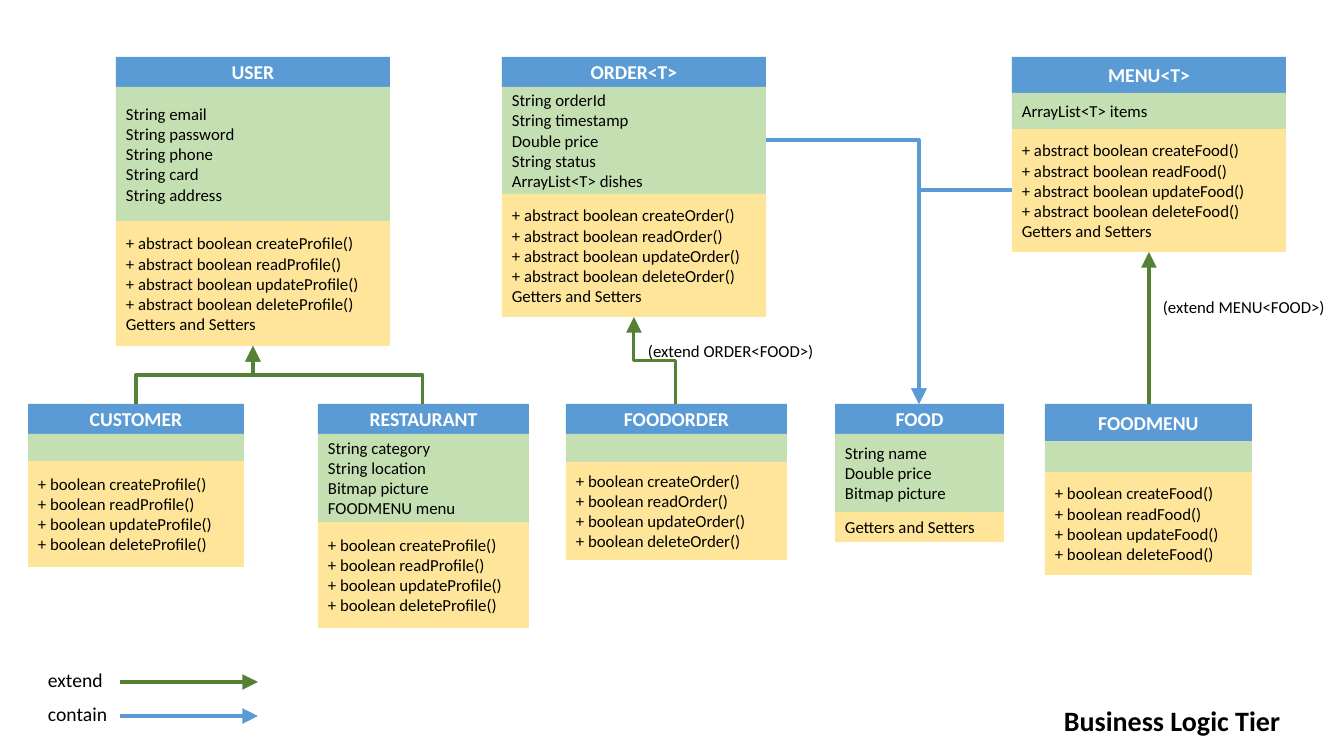
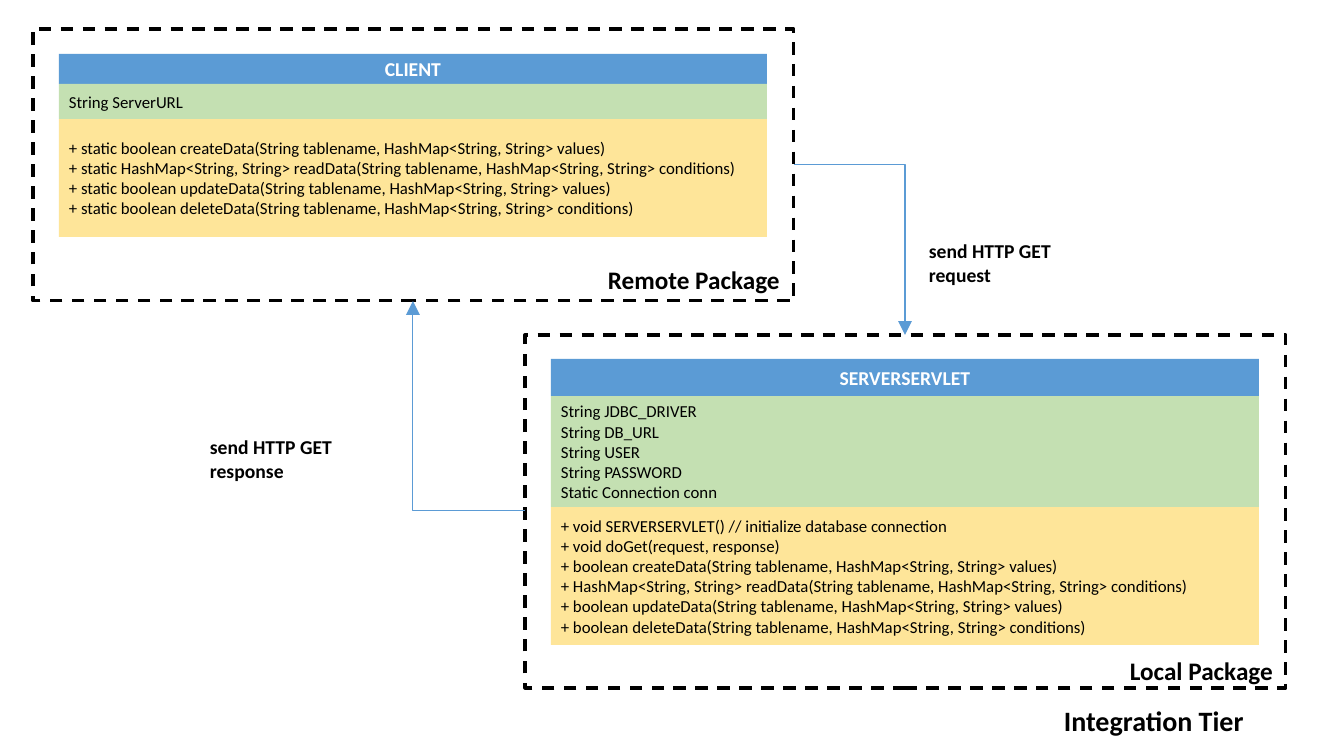
import dataclasses

import lxml.etree
import pptx
import pptx.dml.color
import pptx.enum.dml
import pptx.enum.shapes
import pptx.enum.text
import pptx.oxml.ns
import pptx.util

PIXEL = 914400 / 100.8
BLUE = pptx.dml.color.RGBColor(0x5B, 0x9B, 0xD5)
LIGHT_GREEN = pptx.dml.color.RGBColor(0xC4, 0xE0, 0xB2)
YELLOW = pptx.dml.color.RGBColor(0xFE, 0xE5, 0x99)
DARK_GREEN = pptx.dml.color.RGBColor(0x54, 0x81, 0x35)
BLACK = pptx.dml.color.RGBColor(0, 0, 0)
WHITE = pptx.dml.color.RGBColor(255, 255, 255)

RECTANGLE = pptx.enum.shapes.MSO_SHAPE.RECTANGLE
STRAIGHT = pptx.enum.shapes.MSO_CONNECTOR.STRAIGHT
ELBOW = pptx.enum.shapes.MSO_CONNECTOR.ELBOW
LEFT = pptx.enum.text.PP_ALIGN.LEFT
CENTER = pptx.enum.text.PP_ALIGN.CENTER


def font_format(size, bold=False):
    return {"name": "Calibri", "size": pptx.util.Pt(size), "bold": bold}


MEMBER = font_format(12)
LEGEND = font_format(14)
HEADING = font_format(14, True)
FRAME_LABEL = font_format(18, True)
TIER = font_format(20, True)

ABSTRACT = "+ abstract boolean "
CONCRETE = "+ boolean "
ACCESSORS = ["Getters and Setters"]


@dataclasses.dataclass
class Box:
    left: int
    top: int
    width: int
    height: int

    @property
    def right(self):
        return self.left + self.width

    @property
    def bottom(self):
        return self.top + self.height

    @property
    def center(self):
        return self.left + self.width // 2

    @property
    def middle(self):
        return self.top + self.height // 2

    def emu(self):
        return [emu(value) for value in dataclasses.astuple(self)]


def emu(pixels):
    return round(pixels * PIXEL)


def write(shape, lines, font, color=BLACK, alignment=LEFT):
    frame = shape.text_frame
    frame.word_wrap = True
    for index, line in enumerate(lines):
        paragraph = frame.add_paragraph() if index else frame.paragraphs[0]
        paragraph.alignment = alignment
        run = paragraph.add_run()
        run.text = line
        for name, value in font.items():
            setattr(run.font, name, value)
        run.font.color.rgb = color


def add_label(shapes, box, text, font):
    write(shapes.add_textbox(*box.emu()), [text], font)


def add_rectangle(shapes, box, fill=None):
    shape = shapes.add_shape(RECTANGLE, *box.emu())
    shape.shadow.inherit = False
    if fill is None:
        shape.fill.background()
    else:
        shape.fill.solid()
        shape.fill.fore_color.rgb = fill
        shape.line.fill.background()
    return shape


def add_class(shapes, box, heights, title, fields, methods):
    styles = [
        ([title], BLUE, HEADING, WHITE, CENTER),
        (fields, LIGHT_GREEN, MEMBER, BLACK, LEFT),
        (methods, YELLOW, MEMBER, BLACK, LEFT),
    ]
    left, top, width = box
    sections = []
    for height, (lines, fill, font, color, alignment) in zip(heights, styles):
        section = Box(left, top, width, height)
        shape = add_rectangle(shapes, section, fill)
        shape.text_frame.vertical_anchor = pptx.enum.text.MSO_ANCHOR.MIDDLE
        write(shape, lines, font, color, alignment)
        sections.append(section)
        top += height
    return sections


def add_arrow(slide, start, end, color, width=2.25, kind=STRAIGHT):
    connector = slide.shapes.add_connector(kind, *map(emu, start + end))
    connector.line.color.rgb = color
    connector.line.width = pptx.util.Pt(width)
    line = connector.line._get_or_add_ln()
    lxml.etree.SubElement(line, pptx.oxml.ns.qn("a:tailEnd"),
                          type="triangle", w="lg", len="lg")
    lxml.etree.SubElement(connector._element.spPr, pptx.oxml.ns.qn("a:effectLst"))
    return connector


def add_corner_arrow(slide, start, end, color, width=2.25):
    connector = add_arrow(slide, start, end, color, width, ELBOW)
    geometry = connector._element.spPr.find(pptx.oxml.ns.qn("a:prstGeom"))
    geometry.set("prst", "bentConnector2")


def add_rising_arrow(slide, start, end, color):
    connector = add_arrow(slide, start, end, color, kind=ELBOW)
    across, rise = abs(end[0] - start[0]), start[1] - end[1]
    left = (start[0] + end[0] - rise) / 2
    top = (start[1] + end[1] - across) / 2
    placement = {"left": left, "top": top, "width": rise, "height": across}
    for name, value in placement.items():
        setattr(connector, name, emu(value))
    leftward = end[0] < start[0]
    transform = connector._element.spPr.find(pptx.oxml.ns.qn("a:xfrm"))
    for name in ("flipH", "flipV"):
        transform.attrib.pop(name, None)
    transform.set("rot", str((90 if leftward else 270) * 60000))
    if leftward:
        transform.set("flipH", "1")


def add_legend(slide, left, top):
    for row, (text, color) in enumerate([("extend", DARK_GREEN), ("contain", BLUE)]):
        row_top = top + 34 * row
        add_label(slide.shapes, Box(left, row_top, 90, 34), text, LEGEND)
        add_arrow(slide, (left + 82, row_top + 19), (left + 220, row_top + 19), color)


def add_package(slide, box, headroom, heights, title, fields, methods, label, label_box):
    shapes = slide.shapes.add_group_shape().shapes
    border = add_rectangle(shapes, box).line
    border.color.rgb = BLACK
    border.width = pptx.util.Pt(2.25)
    border.dash_style = pptx.enum.dml.MSO_LINE.DASH
    add_class(shapes, (box.left + 26, box.top + headroom, box.width - 53),
              heights, title, fields, methods)
    width, rise = label_box
    add_label(shapes, Box(box.right - width, box.bottom - rise, width, 40),
              label, FRAME_LABEL)


def crud(prefix, noun):
    return [f"{prefix}{verb}{noun}()" for verb in ("create", "read", "update", "delete")]


def add_tier_slide(presentation, tier, width):
    slide = presentation.slides.add_slide(presentation.slide_layouts[6])
    add_label(slide.shapes, Box(1054, 699, width, 44), tier, TIER)
    return slide


def build_business_logic(presentation):
    slide = add_tier_slide(presentation, "Business Logic Tier", 282)
    upper, lower = 57, 404
    classes = [
        ((116, upper, 274), (30, 134, 125), "USER",
         ["String email", "String password", "String phone", "String card", "String address"],
         crud(ABSTRACT, "Profile") + ACCESSORS),
        ((502, upper, 264), (30, 107, 123), "ORDER<T>",
         ["String orderId", "String timestamp", "Double price", "String status",
          "ArrayList<T> dishes"],
         crud(ABSTRACT, "Order") + ACCESSORS),
        ((1012, upper, 274), (36, 36, 123), "MENU<T>",
         ["ArrayList<T> items"], crud(ABSTRACT, "Food") + ACCESSORS),
        ((28, lower, 216), (30, 27, 106), "CUSTOMER", [], crud(CONCRETE, "Profile")),
        ((318, lower, 211), (30, 88, 106), "RESTAURANT",
         ["String category", "String location", "Bitmap picture", "FOODMENU menu"],
         crud(CONCRETE, "Profile")),
        ((566, lower, 221), (30, 28, 98), "FOODORDER", [], crud(CONCRETE, "Order")),
        ((835, lower, 169), (30, 78, 30), "FOOD",
         ["String name", "Double price", "Bitmap picture"], ACCESSORS),
        ((1045, lower, 207), (37, 31, 103), "FOODMENU", [], crud(CONCRETE, "Food")),
    ]
    sections = {}
    for box, heights, title, fields, methods in classes:
        group = slide.shapes.add_group_shape()
        sections[title] = add_class(group.shapes, box, heights, title, fields, methods)

    for child, parent in [("CUSTOMER", "USER"), ("RESTAURANT", "USER"),
                          ("FOODORDER", "ORDER<T>")]:
        heading, methods = sections[child][0], sections[parent][2]
        add_rising_arrow(slide, (heading.center, heading.top),
                         (methods.center, methods.bottom), DARK_GREEN)
    menu_methods = sections["MENU<T>"][2]
    add_arrow(slide, (menu_methods.center, lower),
              (menu_methods.center, menu_methods.bottom), DARK_GREEN)

    food = sections["FOOD"][0]
    order_fields = sections["ORDER<T>"][1]
    for start in [(order_fields.right, order_fields.middle),
                  (menu_methods.left, menu_methods.middle)]:
        add_corner_arrow(slide, start, (food.center, food.top), BLUE)

    add_label(slide.shapes, Box(1153, 292, 185, 30), "(extend MENU<FOOD>)", MEMBER)
    add_label(slide.shapes, Box(638, 336, 221, 30), "(extend ORDER<FOOD>)", MEMBER)
    add_legend(slide, 38, 663)


def build_integration(presentation):
    slide = add_tier_slide(presentation, "Integration Tier", 245)
    values = "(String tablename, HashMap<String, String> values)"
    conditions = "(String tablename, HashMap<String, String> conditions)"
    operations = [
        "boolean createData" + values,
        "HashMap<String, String> readData" + conditions,
        "boolean updateData" + values,
        "boolean deleteData" + conditions,
    ]
    remote = Box(33, 29, 761, 272)
    local = Box(525, 335, 761, 353)
    add_package(slide, remote, 25, (30, 35, 118), "CLIENT", ["String ServerURL"],
                ["+ static " + operation for operation in operations],
                "Remote Package", (196, 42))
    add_package(slide, local, 24, (37, 111, 138), "SERVERSERVLET",
                ["String JDBC_DRIVER", "String DB_URL", "String USER", "String PASSWORD",
                 "Static Connection conn"],
                ["+ void SERVERSERVLET() // initialize database connection",
                 "+ void doGet(request, response)"]
                + ["+ " + operation for operation in operations],
                "Local Package", (166, 38))
    add_corner_arrow(slide, (remote.right, remote.middle), (local.center, local.top), BLUE, 0.75)
    add_corner_arrow(slide, (local.left, local.middle), (remote.center, remote.bottom), BLUE, 0.75)
    for left, top, message in [(919, 234, "request"), (200, 430, "response")]:
        add_label(slide.shapes, Box(left, top, 200, 34), "send HTTP GET " + message, HEADING)


presentation = pptx.Presentation()
presentation.slide_width = emu(1344)
presentation.slide_height = emu(756)
build_business_logic(presentation)
build_integration(presentation)
presentation.save("out.pptx")
